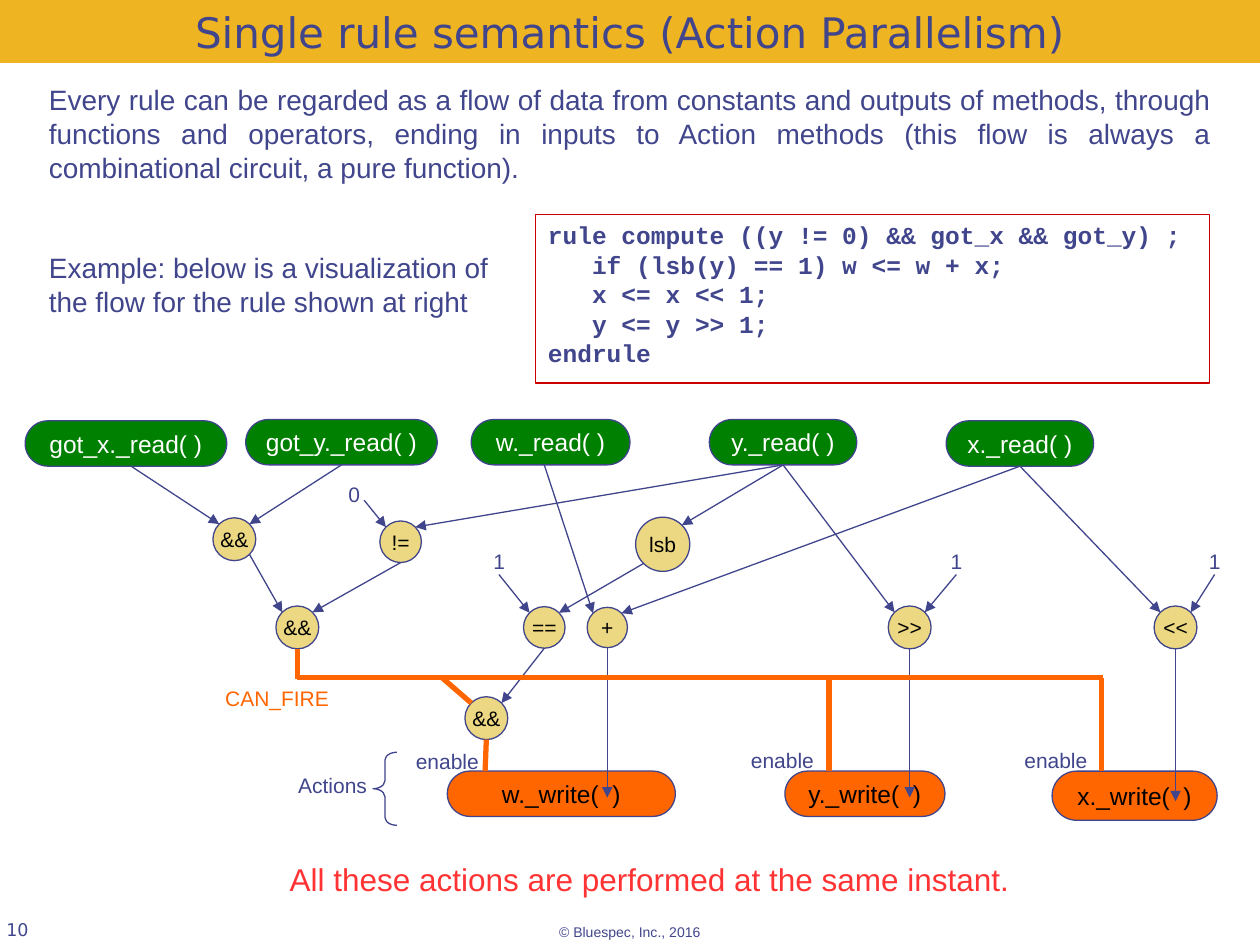
from math import sqrt

from lxml import etree
from pptx import Presentation
from pptx.dml.color import RGBColor
from pptx.enum.shapes import MSO_CONNECTOR, MSO_SHAPE
from pptx.enum.text import MSO_ANCHOR, PP_ALIGN
from pptx.oxml.ns import qn
from pptx.util import Inches, Pt

LEFT, CENTER, JUSTIFY = PP_ALIGN.LEFT, PP_ALIGN.CENTER, PP_ALIGN.JUSTIFY
TOP, MIDDLE, BOTTOM = MSO_ANCHOR.TOP, MSO_ANCHOR.MIDDLE, MSO_ANCHOR.BOTTOM
RECT, PILL, CIRCLE = MSO_SHAPE.RECTANGLE, MSO_SHAPE.ROUNDED_RECTANGLE, MSO_SHAPE.OVAL
BRACE, STRAIGHT = MSO_SHAPE.LEFT_BRACE, MSO_CONNECTOR.STRAIGHT

INK, GOLD, GREEN, SAND = "40458C", "EEB422", "008000", "ECD882"
ORANGE, BLACK, WHITE = "FF6600", "000000", "FFFFFF"
BOTTOM_SITE = 2
HEADING_FONT = "DejaVu Sans"

# Unit directions from a circle's centre to its edge
D = 1 / sqrt(2)
SIDES = {"tl": (-D, -D), "tr": (D, -D), "bl": (-D, D), "br": (D, D), "b": (0, 1)}


def rgb(color):
    return RGBColor.from_string(color)


def write(shape, text, size=12, font="Arial", color=INK, bold=False, align=LEFT,
          anchor=TOP, margins=(0.1, 0.05), wrap=True):
    frame = shape.text_frame
    frame.word_wrap = wrap
    frame.vertical_anchor = anchor
    frame.margin_left = frame.margin_right = Inches(margins[0])
    frame.margin_top = frame.margin_bottom = Inches(margins[1])
    for i, line in enumerate(text.split("\n")):
        paragraph = frame.add_paragraph() if i else frame.paragraphs[0]
        paragraph.alignment = align
        run = paragraph.add_run()
        run.text = line
        run.font.size, run.font.name, run.font.bold = Pt(size), font, bold
        run.font.color.rgb = rgb(color)


def add_text(slide, box, text, **style):
    write(slide.shapes.add_textbox(*map(Inches, box)), text, **style)


def add_shape(slide, kind, box, fill=None, line=None):
    shape = slide.shapes.add_shape(kind, *map(Inches, box))
    shape.shadow.inherit = False
    if fill:
        shape.fill.solid()
        shape.fill.fore_color.rgb = rgb(fill)
    else:
        shape.fill.background()
    if line:
        shape.line.color.rgb = rgb(line)
        shape.line.width = Pt(0.75)
    else:
        shape.line.fill.background()
    return shape


def add_line(slide, start, end, color=INK, width=0.75, arrow=True, source=None):
    line = slide.shapes.add_connector(STRAIGHT, *map(Inches, (*start, *end)))
    line.line.color.rgb = rgb(color)
    line.line.width = Pt(width)
    properties = line._element.spPr
    if arrow:
        etree.SubElement(properties.find(qn("a:ln")), qn("a:tailEnd"), type="triangle")
    etree.SubElement(properties, qn("a:effectLst"))
    if source is not None:
        line.begin_connect(source, BOTTOM_SITE)


def title_bar(slide, box):
    bar = add_shape(slide, RECT, box, GOLD)
    write(bar, "Single rule semantics (Action Parallelism)", size=24, font=HEADING_FONT,
          align=CENTER, anchor=BOTTOM, margins=(0, 0.05))


def introduction(slide, box):
    left, top, width, height = box
    add_text(slide, (left, top, width, 0.9),
             "Every rule can be regarded as a flow of data from constants and outputs of "
             "methods, through functions and operators, ending in inputs to Action methods "
             "(this flow is always a combinational circuit, a pure function).",
             size=16, align=JUSTIFY)
    add_text(slide, (left, top + 1.33, 3.75, 0.63),
             "Example: below is a visualization of the flow for the rule shown at right", size=16)
    code = add_shape(slide, RECT, (left + 3.96, top + 1.09, 5.35, height - 1.09), line="CC0000")
    write(code, "rule compute ((y != 0) && got_x && got_y) ;\n"
                "   if (lsb(y) == 1) w <= w + x;\n"
                "   x <= x << 1;\n"
                "   y <= y >> 1;\n"
                "endrule", size=14, font="Courier New", bold=True)


def flow_diagram(slide, box):
    left, top = box[:2]

    def at(x, y):
        return left + x, top + y

    def label(text, x, y, width, color=INK):
        add_text(slide, (*at(x - width / 2, y - 0.1), width, 0.2), text, color=color,
                 align=CENTER, anchor=MIDDLE, margins=(0, 0), wrap=False)

    def method(text, x, y, width, height, fill, color):
        pill = add_shape(slide, PILL, (*at(x, y), width, height), fill, INK)
        pill.adjustments[0] = 0.5
        write(pill, text, size=14, color=color, align=CENTER, anchor=MIDDLE, margins=(0.1, 0))
        return pill

    # Method outputs at the top, method inputs at the bottom
    reads = {}
    for name, x, y, width in [("got_x", 0, 0.04, 1.6), ("got_y", 1.75, 0.03, 1.52),
                              ("w", 3.54, 0.03, 1.26), ("y", 5.43, 0.03, 1.17),
                              ("x", 7.31, 0.04, 1.17)]:
        pill = method(f"{name}._read( )", x, y, width, 0.36, GREEN, WHITE)
        reads[name] = pill, at(x + width / 2, y + 0.36)
    for name, x, width, height in [("w", 3.35, 1.81, 0.36), ("y", 6.03, 1.27, 0.36),
                                   ("x", 8.15, 1.31, 0.39)]:
        method(f"{name}._write(  )", x, 2.82, width, height, ORANGE, BLACK)

    # Operators: symbol, centre, diameter
    operators = {
        "both_got": ("&&", 1.66, 0.98, 0.34), "not_zero": ("!=", 2.98, 1.0, 0.33),
        "lsb": ("lsb", 5.06, 1.02, 0.43), "can_fire": ("&&", 2.16, 1.68, 0.34),
        "equal": ("==", 4.12, 1.68, 0.33), "add": ("+", 4.62, 1.68, 0.32),
        "shift_right": (">>", 7.02, 1.68, 0.34), "shift_left": ("<<", 9.13, 1.68, 0.34),
        "w_enable": ("&&", 3.66, 2.4, 0.34),
    }
    for symbol, x, y, size in operators.values():
        circle = add_shape(slide, CIRCLE, (*at(x - size / 2, y - size / 2), size, size), SAND, INK)
        write(circle, symbol, color=BLACK, align=CENTER, anchor=MIDDLE, margins=(0, 0))

    def edge(operator, side):
        _, x, y, size = operators[operator]
        dx, dy = SIDES[side]
        return at(x + dx * size / 2, y + dy * size / 2)

    # Data flow from reads into operators
    for name, operator, side in [("got_y", "both_got", "tr"), ("y", "not_zero", "tr"),
                                 ("y", "lsb", "tr"), ("y", "shift_right", "tl"),
                                 ("x", "add", "tr"), ("x", "shift_left", "tl")]:
        pill, start = reads[name]
        add_line(slide, start, edge(operator, side), source=pill)
    add_line(slide, at(0.84, 0.4), edge("both_got", "tl"))
    add_line(slide, at(4.12, 0.39), edge("add", "tl"))

    # Data flow between operators, then down into the writes
    for source, out, target, side in [("both_got", "br", "can_fire", "tl"),
                                      ("not_zero", "b", "can_fire", "tr"),
                                      ("lsb", "bl", "equal", "tr"),
                                      ("equal", "b", "w_enable", "tr")]:
        add_line(slide, edge(source, out), edge(target, side))
    for operator, y in [("add", 3.03), ("shift_right", 3.03), ("shift_left", 3.06)]:
        add_line(slide, edge(operator, "b"), at(operators[operator][1], y))

    # Constants
    for digit, x, y, start, operator, side in [
            ("0", 2.61, 0.62, (2.69, 0.67), "not_zero", "tl"),
            ("1", 3.76, 1.15, (3.76, 1.26), "equal", "tl"),
            ("1", 7.39, 1.15, (7.39, 1.26), "shift_right", "tr"),
            ("1", 9.44, 1.15, (9.44, 1.26), "shift_left", "tr")]:
        label(digit, x, y, 0.09)
        add_line(slide, at(*start), edge(operator, side))

    # CAN_FIRE bus and its branches
    bus, action = 2.08, 2.82
    for start, end in [(edge("can_fire", "b"), at(2.16, bus + 0.01)),
                       (at(2.16, bus), at(8.55, bus)),
                       (at(3.31, bus), edge("w_enable", "tl")),
                       (edge("w_enable", "b"), at(3.65, action)),
                       (at(6.38, bus), at(6.38, action)),
                       (at(8.54, bus), at(8.54, action))]:
        add_line(slide, start, end, ORANGE, 3, arrow=False)
    label("CAN_FIRE", 2.0, 2.24, 0.83, ORANGE)
    for x, y in [(3.35, 2.74), (6.01, 2.73), (8.18, 2.73)]:
        label("enable", x, y, 0.5)

    # Actions brace
    label("Actions", 2.44, 2.93, 0.55)
    brace = add_shape(slide, BRACE, (*at(2.76, 2.67), 0.19, 0.58), line=INK)
    brace.adjustments[0] = 0.33


def closing(slide, box):
    left, top = box[:2]
    add_text(slide, (left + 2.15, top, 5.91, 0.38),
             "All these actions are performed at the same instant.",
             size=18, color="FF3333", wrap=False)
    add_text(slide, (left, top + 0.18, 2.08, 0.5), "10", size=10, font=HEADING_FONT,
             anchor=BOTTOM, margins=(0, 0))
    add_text(slide, (left + 4.15, top + 0.5, 1.6, 0.22), "© Bluespec, Inc., 2016",
             size=8, align=CENTER)


def main():
    deck = Presentation()
    deck.slide_width, deck.slide_height = Inches(10), Inches(7.5)
    slide = deck.slides.add_slide(deck.slide_layouts[6])
    title_bar(slide, (0, 0, 10, 0.5))
    introduction(slide, (0.29, 0.61, 9.42, 2.43))
    flow_diagram(slide, (0.2, 3.3, 9.6, 3.25))
    closing(slide, (0.05, 6.78, 9.9, 0.72))
    deck.save("out.pptx")


if __name__ == "__main__":
    main()
